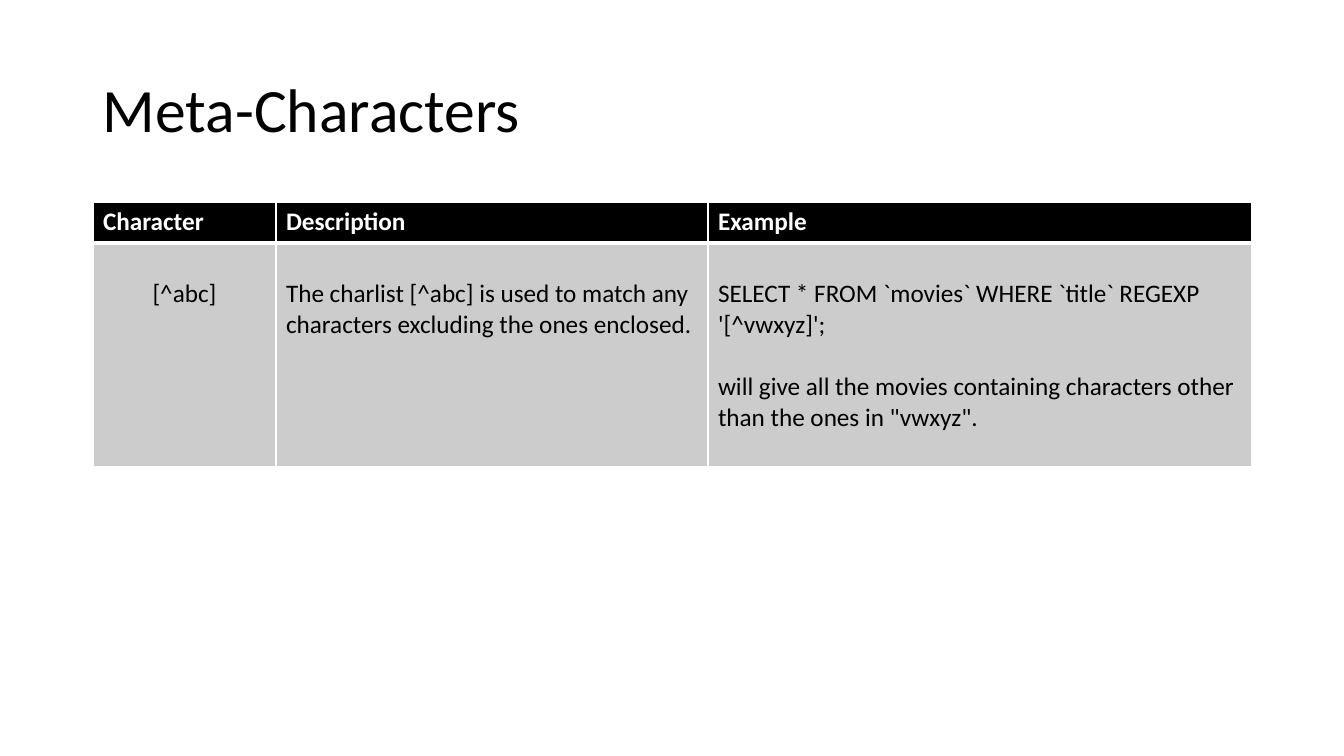
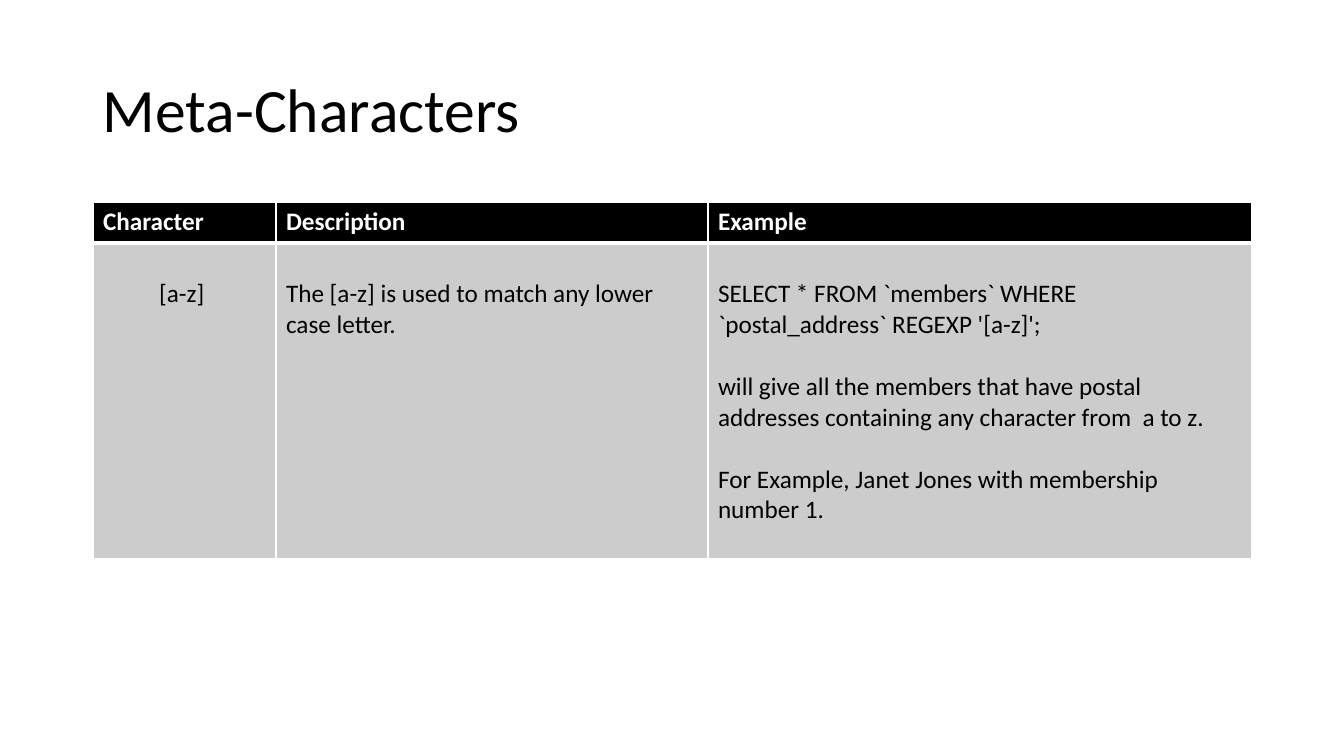
"""Build two slides on meta-characters, each a title over a table."""
from lxml import etree
from pptx import Presentation
from pptx import util as u
from pptx.dml.color import RGBColor
from pptx.enum import text
from pptx.oxml.ns import qn

FONT = "Calibri"
BLACK, WHITE, GREY = "000000", "FFFFFF", "CCCCCC"
HEADS = ["Character", "Description", "Example"]
WIDTHS = [183, 432, 544]
LEFT, TOP, HEAD = 93, 202, 41
LINE = 31
PAGES = [
    (224, [
        ["[^abc]"],
        ["The charlist [^abc] is used to match any characters excluding the ones enclosed."],
        ["SELECT * FROM `movies` WHERE `title` REGEXP '[^vwxyz]';",
         "will give all the movies containing characters other than the ones in \"vwxyz\"."],
    ]),
    (316, [
        ["[a-z] "],
        ["The [a-z] is used to match any lower case letter."],
        ["SELECT * FROM `members` WHERE `postal_address` REGEXP '[a-z]';",
         "will give all the members that have postal addresses containing any character from  a to z.",
         "For Example, Janet Jones with membership number 1."],
    ]),
]


def px(n):
    return u.Emu(round(n * 914400 / 100.8))


def style(font, size, tone, bold=False):
    font.name, font.size, font.bold = FONT, u.Pt(size), bold
    font.color.rgb = RGBColor.from_string(tone)


prs = Presentation()
prs.slide_width, prs.slide_height = px(1344), px(756)

for deep, body in PAGES:
    slide = prs.slides.add_slide(prs.slide_layouts[6])
    frame = slide.shapes.add_textbox(px(LEFT), px(40), px(sum(WIDTHS)), px(146)).text_frame
    frame.word_wrap = True
    frame.vertical_anchor = text.MSO_ANCHOR.MIDDLE
    frame.text = "Meta-Characters"
    title = frame.paragraphs[0]
    title.line_spacing = 0.9
    style(title.runs[0].font, 44, BLACK)

    table = slide.shapes.add_table(
        2, len(HEADS), px(LEFT), px(TOP), px(sum(WIDTHS)), px(HEAD + deep)).table
    table.horz_banding = False
    table.rows[0].height, table.rows[1].height = px(HEAD), px(deep)
    for col, wide in zip(table.columns, WIDTHS):
        col.width = px(wide)

    for r, row in enumerate([[[head] for head in HEADS], body]):
        for c, lines in enumerate(row):
            cell = table.cell(r, c)
            cell.fill.solid()
            cell.fill.fore_color.rgb = RGBColor.from_string(GREY if r else BLACK)
            cell.margin_top = px(5 + r * LINE)
            cell.text_frame.text = "\n".join(lines)
            for i, para in enumerate(cell.text_frame.paragraphs):
                if i:
                    para.space_before = px(LINE)
                if r and c == 0:
                    para.alignment = text.PP_ALIGN.CENTER
                style(para.runs[0].font, 18, BLACK if r else WHITE, not r)

            props = cell._tc.get_or_add_tcPr()
            thick = "T" if r else "B"
            for i, side in enumerate("LRTB"):
                edge = etree.Element(qn("a:ln" + side), w=str(u.Pt(3 if side == thick else 1)))
                fill = etree.SubElement(edge, qn("a:solidFill"))
                etree.SubElement(fill, qn("a:srgbClr"), val=WHITE)
                props.insert(i, edge)

prs.save("out.pptx")
